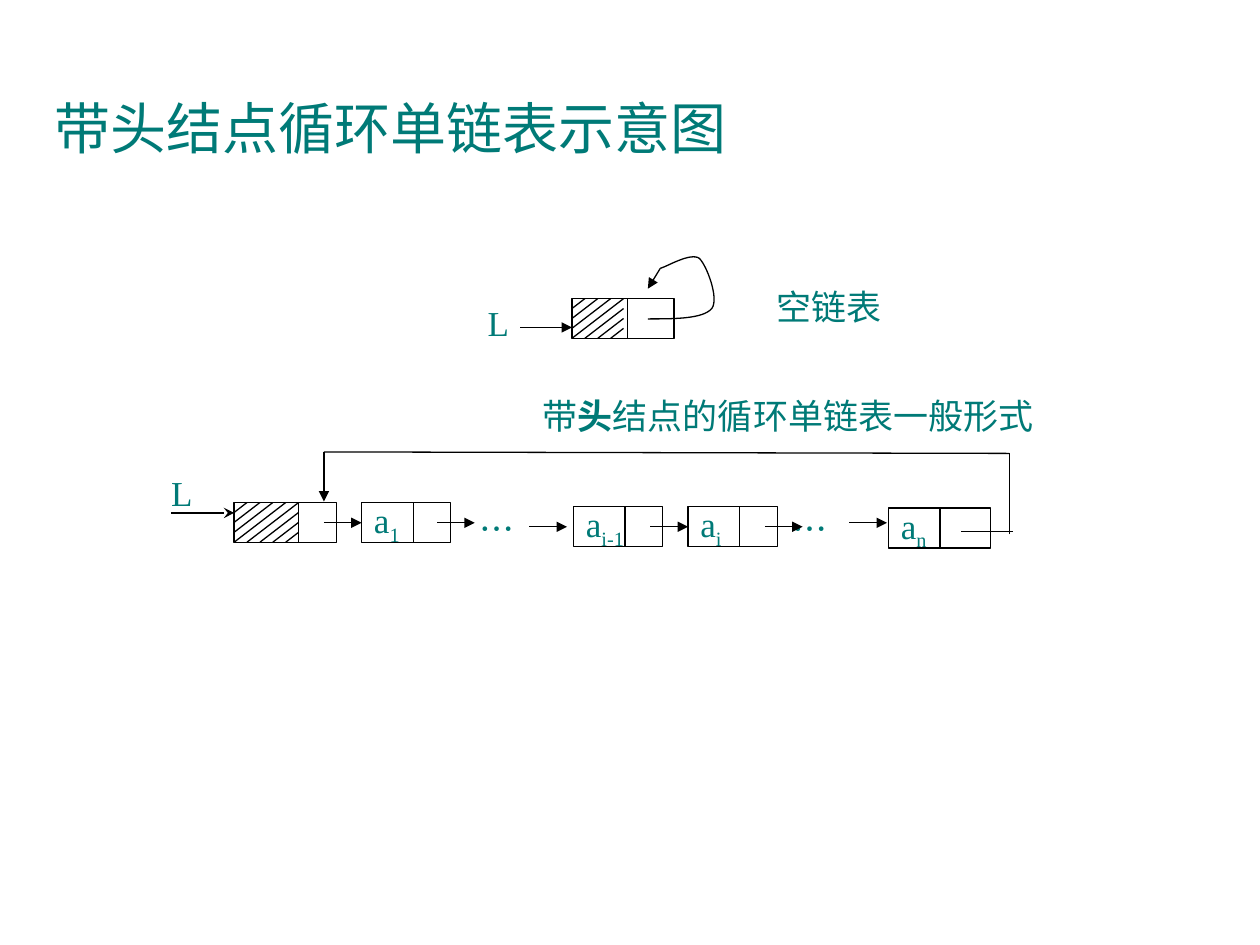
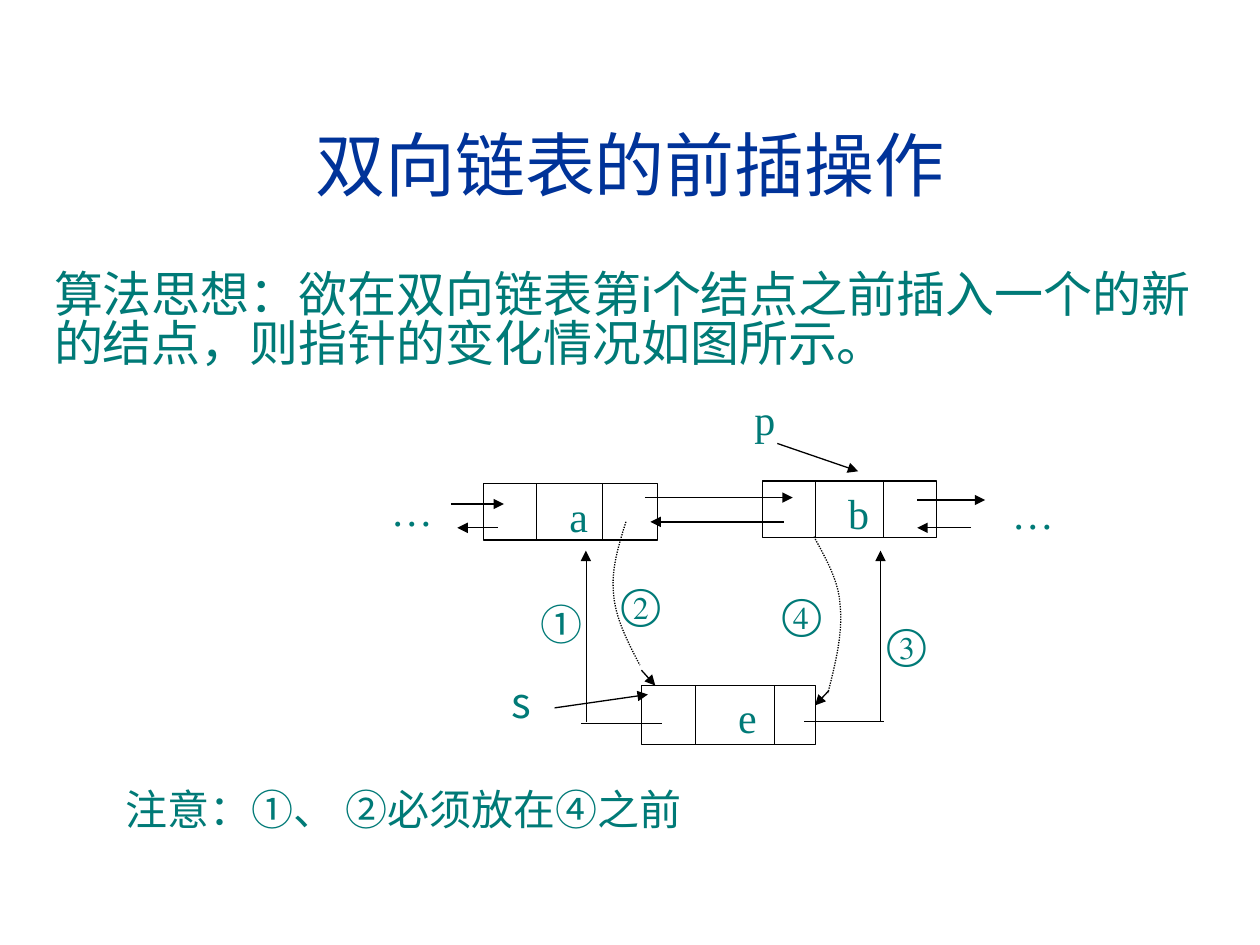
from lxml.etree import SubElement
from pptx import Presentation
from pptx.dml.color import RGBColor
from pptx.enum.dml import MSO_LINE
from pptx.enum.shapes import MSO_CONNECTOR, MSO_SHAPE
from pptx.enum.text import MSO_ANCHOR as ANCHOR, MSO_AUTO_SIZE, PP_ALIGN as ALIGN
from pptx.oxml.ns import qn
from pptx.util import Cm, Pt

# Shared style
TEAL = RGBColor(0x00, 0x7A, 0x77)
NAVY = RGBColor(0x00, 0x33, 0x99)
BLACK = RGBColor(0x00, 0x00, 0x00)
WHITE = RGBColor(0xFF, 0xFF, 0xFF)
SERIF, SANS, CJK = "Times New Roman", "Arial", "Noto Sans CJK SC"
TITLE_ONLY, TITLE_AND_BODY = 5, 1
MARGIN, CONTENT_WIDTH = 0.84, 23.72

# Singly linked nodes
NODE_HEIGHT = 0.81
HEAD_WIDTH, NODE_WIDTH, NODE_DIVIDER = 2.06, 1.8, 1.04
HATCH_X, HATCH_Y, HATCH_ROWS = 0.26, 0.2, 4
LINK_LENGTH = 0.76

# Doubly linked nodes
DOUBLE_WIDTH = 3.51


# Text
def add_run(paragraph, text, size, font=SERIF, color=TEAL, bold=None, subscript=False):
    run = paragraph.add_run()
    run.text = text
    run.font.size = Pt(size)
    run.font.name = font
    run.font.bold = bold
    run.font.color.rgb = color
    properties = run._r.get_or_add_rPr()
    SubElement(properties, qn("a:ea")).set("typeface", font)
    if subscript:
        properties.set("baseline", "-25000")


def set_frame(shape, anchor=ANCHOR.TOP, align=ALIGN.LEFT, left_inset=0.25):
    frame = shape.text_frame
    frame.auto_size = MSO_AUTO_SIZE.NONE
    frame.word_wrap = True
    frame.vertical_anchor = anchor
    frame.margin_left, frame.margin_right = Cm(left_inset), Cm(0.25)
    frame.margin_top = frame.margin_bottom = Cm(0.13)
    paragraph = frame.paragraphs[0]
    paragraph.alignment = align
    return paragraph


def add_label(slide, x, y, width, height, text, size, font=SERIF,
              anchor=ANCHOR.TOP, align=ALIGN.LEFT):
    label = slide.shapes.add_textbox(Cm(x), Cm(y), Cm(width), Cm(height))
    paragraph = set_frame(label, anchor, align)
    if text:
        add_run(paragraph, text, size, font)
    return label


def place(placeholder, y, height, anchor, align):
    placeholder.left, placeholder.top = Cm(MARGIN), Cm(y)
    placeholder.width, placeholder.height = Cm(CONTENT_WIDTH), Cm(height)
    return set_frame(placeholder, anchor, align)


def add_title(slide, text, y, height, size, color, anchor, align):
    add_run(place(slide.shapes.title, y, height, anchor, align), text, size, CJK, color)


# Lines
def add_line(slide, x1, y1, x2, y2, head=None, width=0.75):
    line = slide.shapes.add_connector(
        MSO_CONNECTOR.STRAIGHT, Cm(x1), Cm(y1), Cm(x2), Cm(y2))
    line.line.color.rgb = BLACK
    line.line.width = Pt(width)
    if head:
        SubElement(line.line._get_or_add_ln(), qn("a:tailEnd")).set("type", head)
    SubElement(line._element.spPr, qn("a:effectLst"))


def add_arrow(slide, x1, y1, x2, y2, width=0.75):
    add_line(slide, x1, y1, x2, y2, "triangle", width)


def curve_points(start, segments, steps=16):
    """Sample a chain of cubic Bezier segments (two controls and an end each)."""
    points = [start]
    for segment in segments:
        corners = [points[-1], *segment]
        for step in range(1, steps + 1):
            t = step / steps
            weights = ((1 - t) ** 3, 3 * t * (1 - t) ** 2, 3 * t * t * (1 - t), t ** 3)
            points.append(tuple(
                sum(w * corner[axis] for w, corner in zip(weights, corners))
                for axis in (0, 1)))
    return points


def add_curve(slide, start, segments, dash=None):
    points = [(Cm(x), Cm(y)) for x, y in curve_points(start, segments)]
    builder = slide.shapes.build_freeform(*points[0])
    builder.add_line_segments(points[1:], close=False)
    curve = builder.convert_to_shape()
    curve.shadow.inherit = False
    curve.fill.background()
    curve.line.color.rgb = BLACK
    curve.line.width = Pt(0.75)
    if dash:
        curve.line.dash_style = dash


# Nodes
def add_node(slide, x, y, width, height, dividers):
    node = slide.shapes.add_shape(MSO_SHAPE.RECTANGLE, Cm(x), Cm(y), Cm(width), Cm(height))
    node.shadow.inherit = False
    node.fill.solid()
    node.fill.fore_color.rgb = WHITE
    node.line.color.rgb = BLACK
    node.line.width = Pt(0.75)
    for offset in dividers:
        add_line(slide, x + offset, y, x + offset, y + height)
    return node


def add_head_node(slide, x, y, divider, hatch_columns, hatch_count):
    add_node(slide, x, y, HEAD_WIDTH, NODE_HEIGHT, [divider])
    for k in range(1, hatch_count + 1):
        add_line(slide,
                 x + HATCH_X * min(k, hatch_columns), y + HATCH_Y * max(0, k - hatch_columns),
                 x + HATCH_X * max(0, k - HATCH_ROWS), y + HATCH_Y * min(k, HATCH_ROWS))


def add_data_node(slide, x, y, index, width=NODE_WIDTH):
    node = add_node(slide, x, y, width, NODE_HEIGHT, [NODE_DIVIDER])
    paragraph = set_frame(node, ANCHOR.MIDDLE)
    add_run(paragraph, "a", 20)
    add_run(paragraph, index, 20, subscript=True)


def add_double_node(slide, x, y, height, dividers, name, name_offset):
    node = add_node(slide, x, y, DOUBLE_WIDTH, height, dividers)
    add_run(set_frame(node, left_inset=name_offset), name, 24)


# Slides
def build_circular_list(deck):
    slide = deck.slides.add_slide(deck.slide_layouts[TITLE_ONLY])
    add_title(slide, "带头结点循环单链表示意图", 1.75, 2, 32, TEAL, ANCHOR.TOP, ALIGN.LEFT)

    # Empty list: the head points to itself
    add_head_node(slide, 11.53, 6.02, 1.12, hatch_columns=4, hatch_count=7)
    add_arrow(slide, 10.49, 6.6, 11.53, 6.6)
    add_curve(slide, (13.06, 6.43), [
        [(13.61, 6.43), (14.17, 6.43), (14.35, 6.22)],
        [(14.5, 6.02), (14.25, 5.36), (14.1, 5.21)],
        [(13.92, 5.08), (13.44, 5.38), (13.31, 5.41)]])
    add_arrow(slide, 13.31, 5.41, 13.06, 5.82)
    add_label(slide, 9.58, 6.05, 0.89, 0.91, "L", 20, anchor=ANCHOR.MIDDLE, align=ALIGN.RIGHT)
    add_label(slide, 14.81, 5.62, 3.81, 1.12, "空链表", 20, CJK, align=ALIGN.CENTER)

    # General form: nodes
    add_head_node(slide, 4.72, 10.13, 1.3, hatch_columns=5, hatch_count=8)
    for x in (9.42, 15.72):
        add_label(slide, x, 10.24, 1.55, NODE_HEIGHT, "…", 20, CJK, ANCHOR.MIDDLE)
    add_data_node(slide, 7.29, 10.13, "1")
    add_data_node(slide, 11.56, 10.21, "i-1")
    add_data_node(slide, 13.87, 10.21, "i")
    add_data_node(slide, 17.91, 10.24, "n", HEAD_WIDTH)

    # General form: links and the way back to the head
    add_line(slide, 3.45, 10.34, 4.72, 10.34, "stealth")
    for x, y in ((6.53, 10.54), (8.81, 10.54), (10.67, 10.62),
                 (13.11, 10.62), (15.42, 10.62), (17.12, 10.54)):
        add_arrow(slide, x, y, x + LINK_LENGTH, y)
    add_line(slide, 19.38, 10.72, 20.42, 10.72)
    add_line(slide, 20.35, 10.77, 20.35, 9.14)
    add_line(slide, 20.35, 9.14, 6.53, 9.11)
    add_arrow(slide, 6.53, 9.11, 6.53, 10.11)
    add_label(slide, 3.2, 9.5, 0.97, 0.84, "L", 20, anchor=ANCHOR.MIDDLE)

    caption = add_label(slide, 9.91, 7.82, 11.96, 1.27, "", 20, align=ALIGN.CENTER)
    for text, bold in (("带", None), ("头", True), ("结点的循环单链表一般形式", False)):
        add_run(caption.text_frame.paragraphs[0], text, 20, CJK, bold=bold)


def build_double_insert(deck):
    slide = deck.slides.add_slide(deck.slide_layouts[TITLE_AND_BODY])
    add_title(slide, "双向链表的前插操作", 1.7, 3.18, 40, NAVY, ANCHOR.MIDDLE, ALIGN.CENTER)

    # Idea of the algorithm
    idea = place(slide.placeholders[1], 5.4, 11.5, ANCHOR.TOP, ALIGN.LEFT)
    properties = idea._p.get_or_add_pPr()
    properties.set("marL", "0")
    properties.set("indent", "0")
    SubElement(properties, qn("a:buNone"))
    idea.space_before = Pt(0)
    idea.line_spacing = 0.82
    for text, font in (("算法思想：", CJK), ("欲在双向链表第", CJK), ("i", SANS),
                       ("个结点之前插入一个的新的结点，则指针的变化情况如图所示。", CJK)):
        add_run(idea, text, 28, font)

    # Nodes
    add_double_node(slide, 9.75, 9.75, 1.14, (1.07, 2.39), "a", 1.73)
    add_double_node(slide, 15.37, 9.7, 1.14, (1.07, 2.44), "b", 1.73)
    add_double_node(slide, 12.93, 13.82, 1.19, (1.09, 2.69), "e", 1.95)

    # Existing links, then the pointers p and s
    for x1, y1, x2, y2 in ((9.09, 10.16, 10.16, 10.16), (10.03, 10.64, 9.22, 10.64),
                           (13, 10.03, 15.98, 10.03), (15.8, 10.52, 13.11, 10.52),
                           (18.49, 10.08, 19.86, 10.08), (19.58, 10.64, 18.49, 10.64),
                           (15.67, 8.94, 17.3, 9.5), (11.18, 14.27, 13.06, 14)):
        add_arrow(slide, x1, y1, x2, y2)

    # New links from e: steps 1 and 3
    for start_x, turn_x, end_x, y in ((13.34, 11.81, 11.71, 14.58), (16.21, 17.75, 17.83, 14.53)):
        add_line(slide, start_x, y, end_x, y, width=0.25)
        add_arrow(slide, turn_x, 14.55, turn_x, 11.1, width=0.25)

    # New links to e: steps 2 and 4
    add_curve(slide, (12.62, 10.52), [
        [(12.47, 11), (12.32, 11.48), (12.37, 11.96)],
        [(12.4, 12.45), (12.65, 12.93), (12.9, 13.41)]], MSO_LINE.ROUND_DOT)
    add_arrow(slide, 12.93, 13.51, 13.21, 13.82)
    add_curve(slide, (16.41, 10.82), [
        [(16.66, 11.28), (16.92, 11.73), (16.94, 12.24)],
        [(16.99, 12.78), (16.84, 13.39), (16.69, 13.97)]], MSO_LINE.ROUND_DOT)
    add_arrow(slide, 16.71, 13.92, 16.43, 14.22)

    # Labels
    for x, y, text, font in ((10.64, 11.94, "①", CJK), (12.27, 11.51, "②", SERIF),
                             (17.63, 12.32, "③", SERIF), (15.52, 11.71, "④", SERIF),
                             (7.63, 9.63, "…", SERIF), (20.15, 9.7, "…", SERIF),
                             (14.96, 7.8, "p", SERIF), (10.06, 13.5, "s", CJK)):
        add_label(slide, x, y, 1.42, 1.45, text, 24, font)
    note = add_label(slide, 2.29, 15.67, 11.71, 1.27, "注意：①、 ②必须放在④之前", 24, CJK,
                     ANCHOR.MIDDLE)
    note.text_frame.word_wrap = False


def main():
    deck = Presentation()
    deck.slide_width, deck.slide_height = Cm(25.4), Cm(19.05)
    build_circular_list(deck)
    build_double_insert(deck)
    deck.save("out.pptx")


if __name__ == "__main__":
    main()
